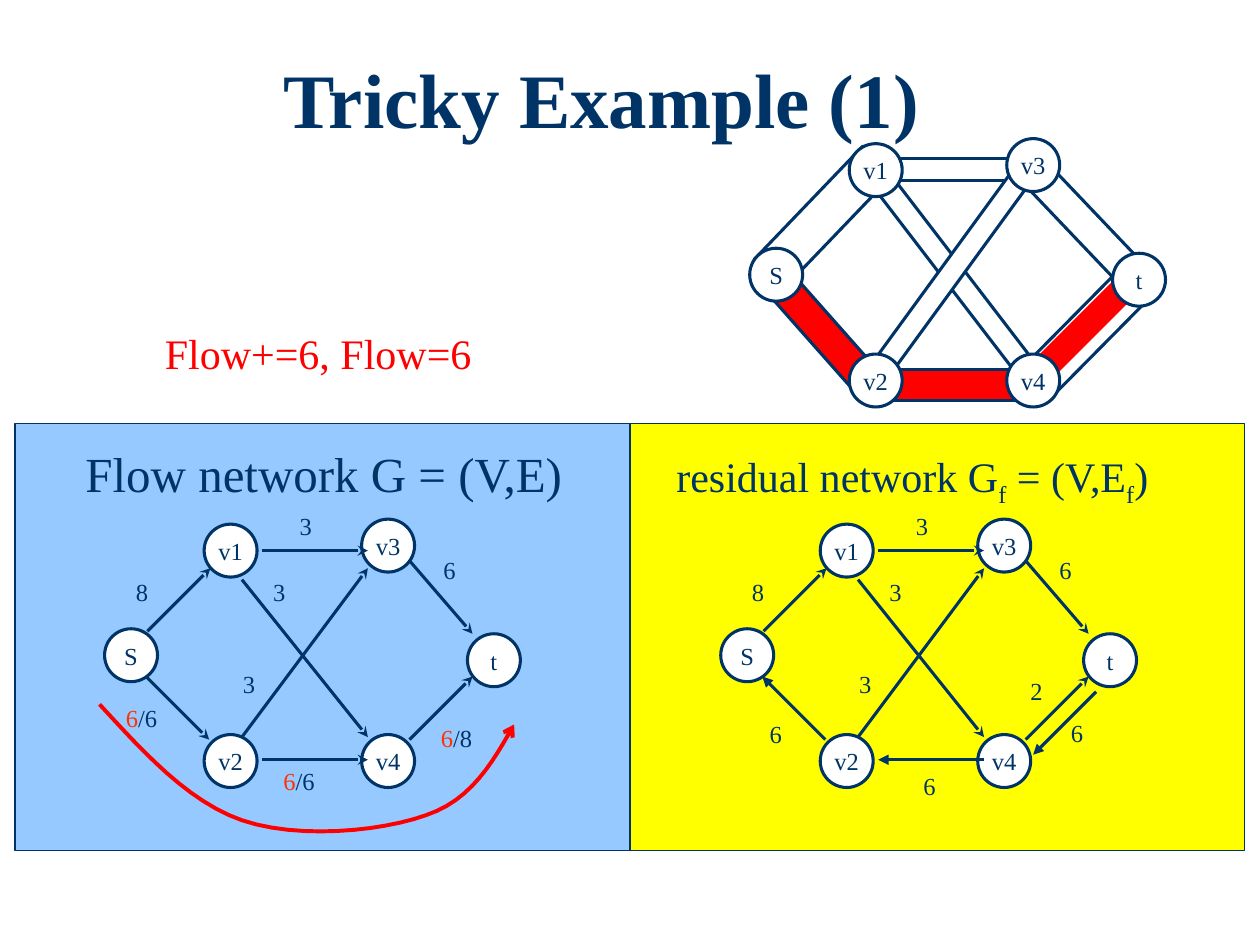
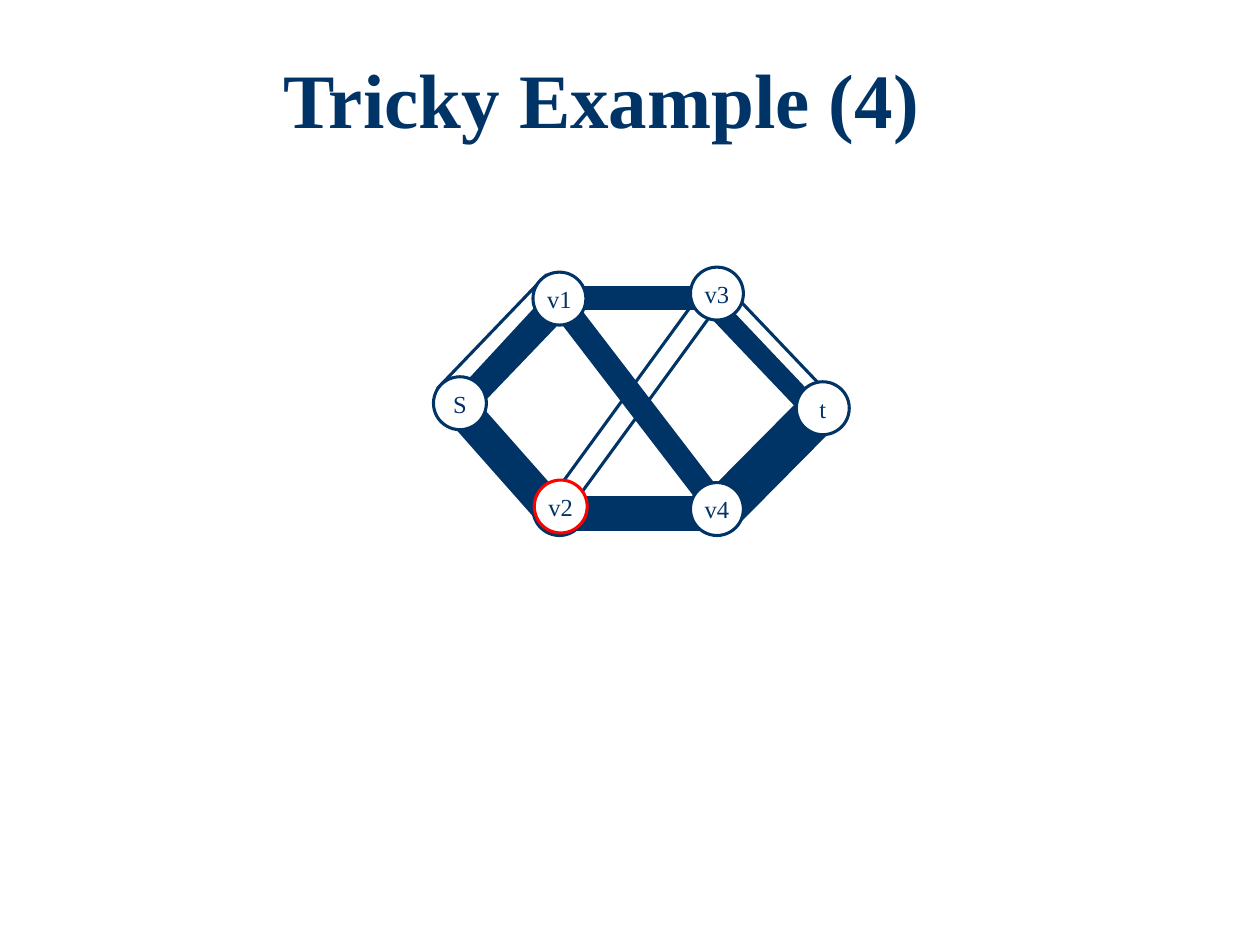
from dataclasses import dataclass

from lxml.etree import SubElement
from pptx import Presentation
from pptx.dml.color import RGBColor
from pptx.enum.shapes import MSO_CONNECTOR, MSO_SHAPE
from pptx.enum.text import MSO_ANCHOR, MSO_AUTO_SIZE, PP_ALIGN
from pptx.oxml.ns import qn
from pptx.util import Inches, Pt


@dataclass(frozen=True)
class Theme:
    """Colours, font and sizes shared by the slides."""

    font: str = "Times New Roman"
    navy: str = "003366"
    white: str = "FFFFFF"
    red: str = "FF0000"
    label_red: str = "FF3300"
    blue: str = "95C9FF"
    yellow: str = "FFFF00"
    title_size: float = 44
    heading_size: float = 28
    text_size: float = 24
    label_size: float = 14
    line_width: float = 1.75
    panel_line: float = 0.75
    curve_line: float = 2.25
    node_size: float = 0.42


THEME = Theme()

NODES = {
    "S": (0, 0.87), "t": (2.88, 0.91),
    "v1": (0.79, 0.04), "v2": (0.79, 1.71),
    "v3": (2.04, 0), "v4": (2.04, 1.71),
}
PIPES = {
    "v1-v3": (1.09, 0.16, 1.17, 0.17, 0),
    "v4-t": (2.09, 1.33, 1.25, 0.33, 314.7),
    "S-v1": (-0.04, 0.46, 1.25, 0.33, 313.8),
    "v3-t": (2.13, 0.62, 1.17, 0.25, 46.4),
    "v2-v4": (1.09, 1.83, 1.17, 0.25, 0),
    "S-v2": (-0.04, 1.37, 1.17, 0.25, 48.5),
    "v1-v4": (0.5, 1, 2.25, 0.17, 52.5),
    "v2-v3": (0.46, 1, 2.25, 0.17, 306.1),
}
PARTIAL_FLOWS = {
    "v4-t": ((2.33, 1.83), (3.08, 1.08), 15),
    "v3-t": ((2.23, 0.31), (2.96, 1.08), 11.5),
    "S-v1": ((0.27, 1.05), (0.99, 0.27), 15),
    "v2-v4": ((1.08, 1.91), (2.17, 1.91), 13),
}
EDGES = {
    "S-v1": ((0.34, 0.89), (0.84, 0.39)),
    "v1-v3": ((1.25, 0.25), (2.09, 0.25)),
    "v2-v4": ((1.25, 1.91), (2.09, 1.91)),
    "v4-t": ((2.42, 1.75), (2.92, 1.25)),
    "v3-t": ((2.42, 0.33), (2.92, 0.91)),
    "S-v2": ((0.33, 1.25), (0.83, 1.75)),
    "v1-v4": ((1.09, 0.48), (2.09, 1.73)),
    "v2-v3": ((1.09, 1.73), (2.09, 0.39)),
}
RETURN_EDGE = ((2.98, 1.37), (2.48, 1.87))
CAPACITIES = [
    ("8", 0.15, 0.41), ("3", 1.45, -0.11), ("6", 2.59, 0.24),
    ("3", 1.24, 0.41), ("3", 1, 1.14),
]
USED_CAPACITIES = [("/8", 2.57, 1.57), ("/6", 1.32, 1.91), ("/6", 0.07, 1.41)]
RESIDUALS = [("6", 0.29, 1.54), ("6", 1.51, 1.95), ("2", 2.36, 1.2), ("6", 2.68, 1.53)]
PATH_START = (0.79, 5.59)
PATH_CURVES = [
    ((1.14, 5.97), (1.49, 6.36), (1.92, 6.51)),
    ((2.36, 6.66), (3.02, 6.6), (3.38, 6.47)),
    ((3.74, 6.35), (3.91, 6.05), (4.08, 5.75)),
]


def shift(origin, point):
    """Return a point of the network in slide coordinates."""
    return origin[0] + point[0], origin[1] + point[1]


def add_run(paragraph, text, size=THEME.label_size, color=THEME.navy, bold=False, baseline=0):
    """Add formatted text to a paragraph."""
    run = paragraph.add_run()
    run.text = text
    run.font.name = THEME.font
    run.font.size = Pt(size)
    run.font.bold = bold
    run.font.color.rgb = RGBColor.from_string(color)
    if baseline:
        run.font._element.set("baseline", str(baseline * 1000))


def add_text(slide, position, size, wrap=False):
    """Add a text box and return its first paragraph."""
    box = slide.shapes.add_textbox(*map(Inches, position + size))
    box.text_frame.word_wrap = wrap
    return box.text_frame.paragraphs[0]


def add_label(slide, position, text, used=""):
    """Label an edge, with any used capacity in red."""
    paragraph = add_text(slide, position, (0.45 if used else 0.3, 0.33))
    if used:
        add_run(paragraph, used, color=THEME.label_red)
    add_run(paragraph, text)


def set_line(line, color, width, arrow=None):
    """Format a line and its arrowhead."""
    line.color.rgb = RGBColor.from_string(color)
    line.width = Pt(width)
    if arrow:
        SubElement(line._get_or_add_ln(), qn("a:tailEnd"), type=arrow)


def add_box(slide, kind, bounds, fill, line=THEME.navy, width=THEME.line_width):
    """Add a filled preset shape."""
    shape = slide.shapes.add_shape(kind, *map(Inches, bounds))
    shape.shadow.inherit = False
    shape.fill.solid()
    shape.fill.fore_color.rgb = RGBColor.from_string(fill)
    set_line(shape.line, line, width)
    return shape


def add_line(slide, start, end, color=THEME.navy, width=THEME.line_width, arrow=None):
    """Add a straight line without a shadow."""
    connector = slide.shapes.add_connector(
        MSO_CONNECTOR.STRAIGHT, *map(Inches, start + end)
    )
    set_line(connector.line, color, width, arrow)
    SubElement(connector._element.spPr, qn("a:effectLst"))


def add_node(slide, position, name, line=THEME.navy):
    """Add a named circle."""
    size = THEME.node_size
    node = add_box(slide, MSO_SHAPE.OVAL, position + (size, size), THEME.white, line)
    frame = node.text_frame
    frame.word_wrap = False
    frame.vertical_anchor = MSO_ANCHOR.MIDDLE
    frame.paragraphs[0].alignment = PP_ALIGN.CENTER
    add_run(frame.paragraphs[0], name)


def add_nodes(slide, origin):
    """Add all nodes of the network."""
    for name, offset in NODES.items():
        add_node(slide, shift(origin, offset), name)


def add_pipes(slide, origin, order, full, partial, color):
    """Draw the network as pipes filled by their flow."""
    for name in order:
        left, top, width, height, angle = PIPES[name]
        bounds = shift(origin, (left, top)) + (width, height)
        fill = color if name in full else THEME.white
        pipe = add_box(slide, MSO_SHAPE.RECTANGLE, bounds, fill)
        pipe.rotation = angle
    for name in partial:
        start, end, width = PARTIAL_FLOWS[name]
        add_line(slide, shift(origin, start), shift(origin, end), color, width)
    add_nodes(slide, origin)


def add_graph(slide, origin, reverse=()):
    """Draw the network as nodes, arrows and capacities."""
    add_nodes(slide, origin)
    for name, (start, end) in EDGES.items():
        arrow = "stealth"
        if name in reverse:
            start, end, arrow = end, start, "triangle"
        add_line(slide, shift(origin, start), shift(origin, end), arrow=arrow)
    for text, left, top in CAPACITIES:
        add_label(slide, shift(origin, (left, top)), text)


def add_augmenting_path(slide, steps=12):
    """Draw the smooth augmenting path under the flow network."""
    points, start = [], PATH_START
    for first, second, end in PATH_CURVES:
        controls = (start, first, second, end)
        for step in range(1, steps + 1):
            t = step / steps
            weights = ((1 - t) ** 3, 3 * t * (1 - t) ** 2, 3 * t**2 * (1 - t), t**3)
            points.append(tuple(
                Inches(sum(weight * point[axis] for weight, point in zip(weights, controls)))
                for axis in (0, 1)
            ))
        start = end
    builder = slide.shapes.build_freeform(*map(Inches, PATH_START))
    builder.add_line_segments(points, close=False)
    curve = builder.convert_to_shape()
    curve.shadow.inherit = False
    curve.fill.background()
    set_line(curve.line, THEME.red, THEME.curve_line, "arrow")


def add_titled_slide(presentation, text):
    """Add a slide with its title."""
    slide = presentation.slides.add_slide(presentation.slide_layouts[5])
    title = slide.shapes.title
    title.left, title.top, title.width, title.height = map(Inches, (0.6, 0.44, 8.5, 1.25))
    frame = title.text_frame
    frame.auto_size = MSO_AUTO_SIZE.NONE
    frame.vertical_anchor = MSO_ANCHOR.TOP
    paragraph = frame.paragraphs[0]
    paragraph.alignment = PP_ALIGN.CENTER
    paragraph.line_spacing = 0.9
    add_run(paragraph, text, size=THEME.title_size, bold=True)
    return slide


def add_panel(slide, left, fill):
    """Add a coloured background for one graph."""
    bounds = (left, 3.36, 4.88, 3.39)
    add_box(slide, MSO_SHAPE.RECTANGLE, bounds, fill, width=THEME.panel_line)


def add_flow_panel(slide):
    """Add the flow network with its augmenting path."""
    origin = (0.83, 4.12)
    add_panel(slide, 0.12, THEME.blue)
    add_graph(slide, origin)
    for text, left, top in USED_CAPACITIES:
        add_label(slide, shift(origin, (left, top)), text, used="6")
    add_augmenting_path(slide)
    heading = add_text(slide, (0.58, 3.47), (4.08, 0.57), wrap=True)
    add_run(heading, "Flow network G = (V,E)", size=THEME.heading_size)


def add_residual_panel(slide):
    """Add the residual network with its reversed edges."""
    origin = (5.72, 4.12)
    add_panel(slide, 5, THEME.yellow)
    add_graph(slide, origin, reverse=("v2-v4", "S-v2"))
    start, end = RETURN_EDGE
    add_line(slide, shift(origin, start), shift(origin, end), arrow="triangle")
    for text, left, top in RESIDUALS:
        add_label(slide, shift(origin, (left, top)), text)
    heading = add_text(slide, (5.27, 3.53), (4.22, 0.5))
    for text, baseline in (
        ("residual network G", 0), ("f", -25), (" = (V,E", 0), ("f", -25), (")", 0)
    ):
        add_run(heading, text, size=THEME.text_size, baseline=baseline)


def add_first_step(presentation):
    """Build the slide on the first augmentation."""
    slide = add_titled_slide(presentation, "Tricky Example (1) ")
    add_pipes(
        slide, (5.95, 1.1), order=PIPES, full=("v2-v4", "S-v2"),
        partial=("v4-t",), color=THEME.red,
    )
    add_flow_panel(slide)
    add_residual_panel(slide)
    result = add_text(slide, (1.21, 2.55), (2.7, 0.5))
    add_run(result, "Flow+=6, Flow=6", size=THEME.text_size, color=THEME.red)


def add_last_step(presentation):
    """Build the slide on the final flow."""
    slide = add_titled_slide(presentation, "Tricky Example (4) ")
    origin = (3.44, 2.12)
    add_pipes(
        slide, origin,
        order=("v2-v4", "S-v1", "v2-v3", "v3-t", "v1-v4", "v4-t", "v1-v3", "S-v2"),
        full=("v2-v4", "v1-v4", "v4-t", "v1-v3", "S-v2"),
        partial=PARTIAL_FLOWS, color=THEME.navy,
    )
    add_node(slide, shift(origin, (0.8, 1.69)), "v2", line=THEME.red)


def main():
    """Build and save the presentation."""
    presentation = Presentation()
    presentation.slide_width, presentation.slide_height = Inches(10), Inches(7.5)
    add_first_step(presentation)
    add_last_step(presentation)
    presentation.save("out.pptx")


if __name__ == "__main__":
    main()
